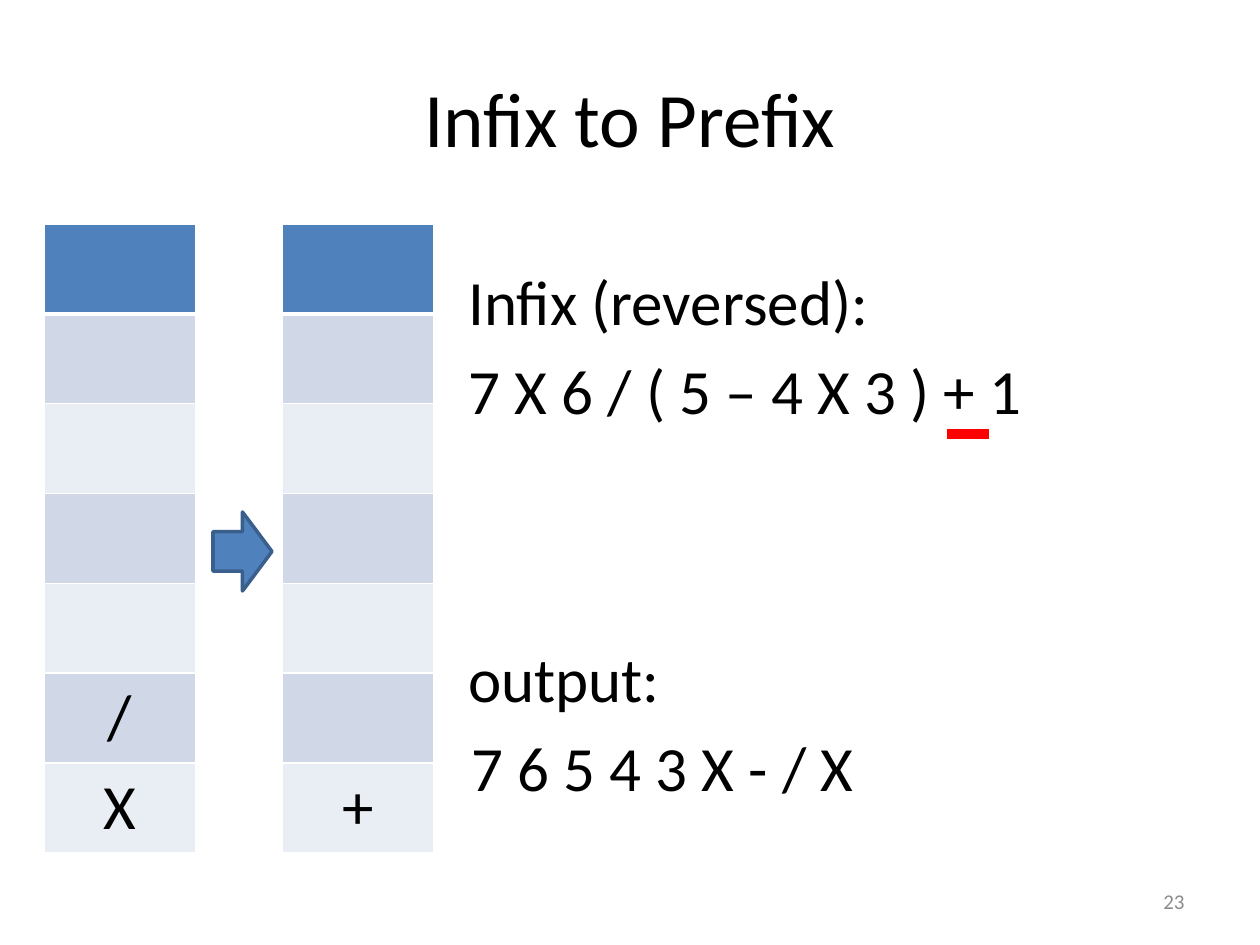
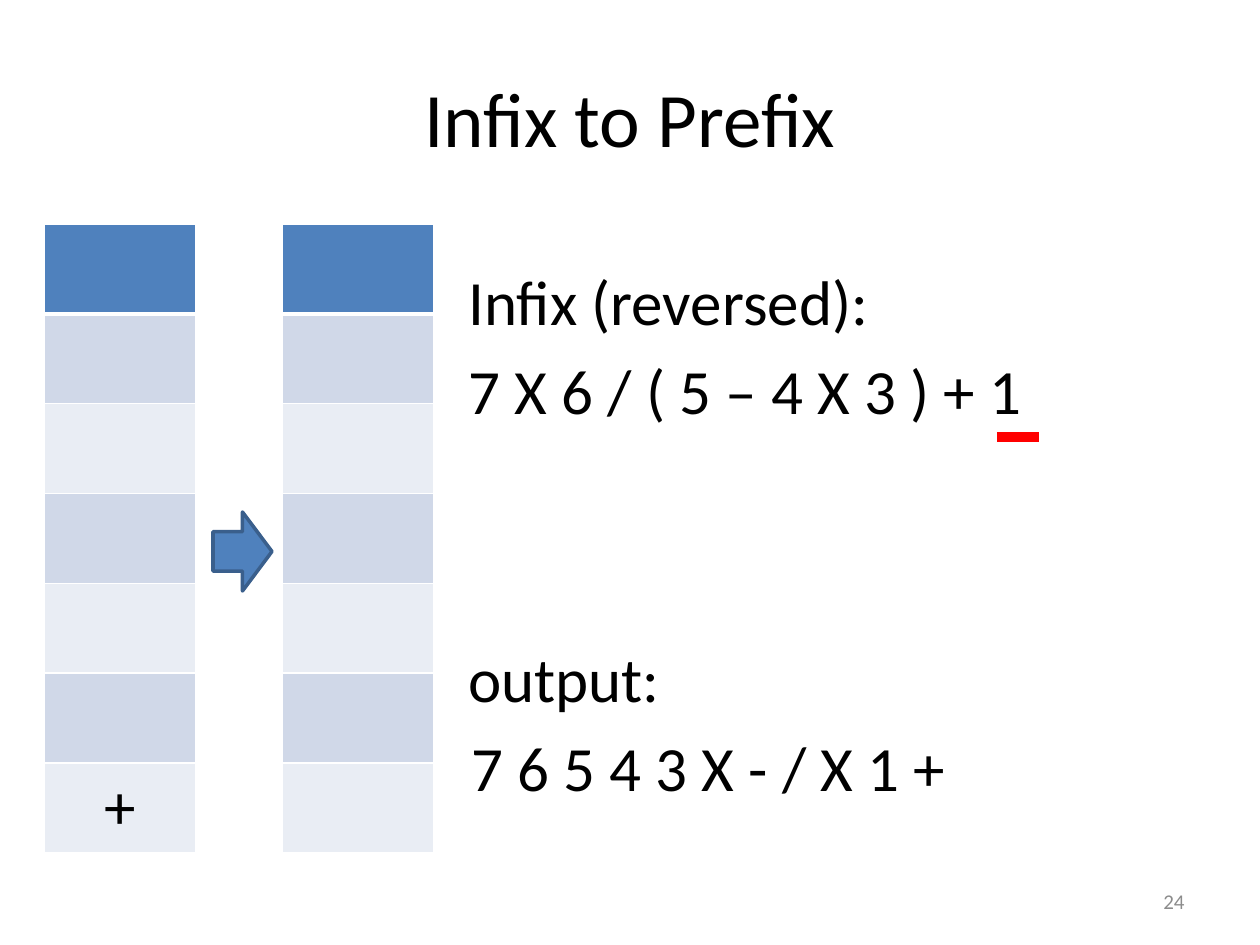
from dataclasses import dataclass

from lxml.etree import SubElement
from pptx import Presentation
from pptx.dml.color import RGBColor as Color
from pptx.enum.shapes import MSO_CONNECTOR as Connector, MSO_SHAPE as Shape
from pptx.enum.text import MSO_ANCHOR as Anchor, PP_ALIGN as Align
from pptx.oxml import parse_xml
from pptx.oxml.ns import nsdecls, qn
from pptx.util import Pt

EMU_PER_PIXEL = 914400 / 126


@dataclass(frozen=True)
class Theme:
    font: str = "Calibri"
    title_size: int = 44
    body_size: int = 36
    number_size: int = 12
    text: str = "000000"
    muted: str = "8C8C8C"
    accent: str = "4F81BD"
    accent_line: str = "3A5F8C"
    bands: tuple = ("E9EDF4", "D0D8E8")
    grid: str = "FFFFFF"
    marker: str = "FF0000"


THEME = Theme()


def px(*lengths):
    return [round(length * EMU_PER_PIXEL) for length in lengths]


def rgb(value):
    return Color.from_string(value)


def write(frame, text, size, color=THEME.text, align=Align.LEFT):
    frame.text = text
    paragraph = frame.paragraphs[0]
    paragraph.alignment = align
    paragraph.font.name = THEME.font
    paragraph.font.size = Pt(size)
    paragraph.font.color.rgb = rgb(color)


def add_text(slide, box, text, size=THEME.body_size, **style):
    frame = slide.shapes.add_textbox(*px(*box)).text_frame
    frame.word_wrap = True
    write(frame, text, size, **style)
    return frame


def add_title(slide, box, text):
    title = slide.shapes.title
    title.left, title.top, title.width, title.height = px(*box)
    title.text_frame.vertical_anchor = Anchor.MIDDLE
    write(title.text_frame, text, THEME.title_size, align=Align.CENTER)


def set_borders(cell, **widths):
    """Put a line on each named side; borders must precede the fill."""
    properties = cell._tc.get_or_add_tcPr()
    for index, (side, points) in enumerate(widths.items()):
        properties.insert(index, parse_xml(
            f'<a:ln{side} {nsdecls("a")} w="{Pt(points)}"><a:solidFill>'
            f'<a:srgbClr val="{THEME.grid}"/></a:solidFill></a:ln{side}>'))


def add_stack(slide, box, items, rows=7):
    """One-column stack: a header, then slots filled from the bottom up."""
    left, top, width, height = box
    table = slide.shapes.add_table(rows, 1, *px(*box)).table
    for index in range(rows):
        table.rows[index].height = px(height / rows)[0]
        cell = table.cell(index, 0)
        cell.fill.solid()
        cell.fill.fore_color.rgb = rgb(THEME.bands[index % 2] if index else THEME.accent)
        set_borders(cell, L=1, R=1, T=3 if index == 1 else 1, B=1 if index else 3)
    for depth, item in enumerate(items):
        write(table.cell(rows - 1 - depth, 0).text_frame, item,
              THEME.body_size, align=Align.CENTER)


def add_arrow(slide, box):
    arrow = slide.shapes.add_shape(Shape.RIGHT_ARROW, *px(*box))
    arrow.shadow.inherit = False
    arrow.fill.solid()
    arrow.fill.fore_color.rgb = rgb(THEME.accent)
    arrow.line.color.rgb = rgb(THEME.accent_line)
    arrow.line.width = Pt(2)


def add_marker(slide, left, top, width=42):
    marker = slide.shapes.add_connector(
        Connector.STRAIGHT, *px(left, top, left + width, top))
    marker.line.color.rgb = rgb(THEME.marker)
    marker.line.width = Pt(6)
    SubElement(marker._element.spPr, qn("a:effectLst"))


def add_stacks(slide, box, before, after):
    """Stack before and after the step, joined by an arrow."""
    left, top, width, height = box
    stack_width = 152
    add_stack(slide, (left, top, stack_width, height), before)
    add_stack(slide, (left + width - stack_width, top, stack_width, height), after)
    add_arrow(slide, (left + 169, top + 288, 59, 79))


def add_expressions(slide, box, output, marker):
    """Input above, output below, with the current token underlined."""
    left, top, width, height = box
    line = 89
    label_width = 462
    bottom = top + height
    add_text(slide, (left, top, label_width, line), "Infix (reversed):")
    add_text(slide, (left, top + line, width, line), "7 X 6 / ( 5 – 4 X 3 ) + 1")
    add_marker(slide, left + marker[0], top + marker[1])
    add_text(slide, (left, bottom - 2 * line, label_width, line), "output:")
    add_text(slide, (left + 3, bottom - line, 668, line), output)


def add_step(presentation, number, before, after, output, marker):
    slide = presentation.slides.add_slide(
        presentation.slide_layouts.get_by_name("Title Only"))
    add_title(slide, (63, 38, 1134, 158), "Infix to Prefix")
    add_stacks(slide, (44, 224, 390, 629), before, after)
    add_expressions(slide, (456, 256, 793, 555), output, marker)
    # Slide number
    footer = add_text(slide, (903, 876, 294, 50), str(number), THEME.number_size,
                      color=THEME.muted, align=Align.RIGHT)
    footer.vertical_anchor = Anchor.MIDDLE


# Stack items run from bottom to top; markers are offsets in the expression area
STEPS = [
    (23, ["X", "/"], ["+"], "7 6 5 4 3 X - / X", (491, 178)),
    (24, ["+"], [], "7 6 5 4 3 X - / X 1 +", (541, 181)),
]

presentation = Presentation()
presentation.slide_width, presentation.slide_height = px(1260, 945)
for step in STEPS:
    add_step(presentation, *step)
presentation.save("out.pptx")
